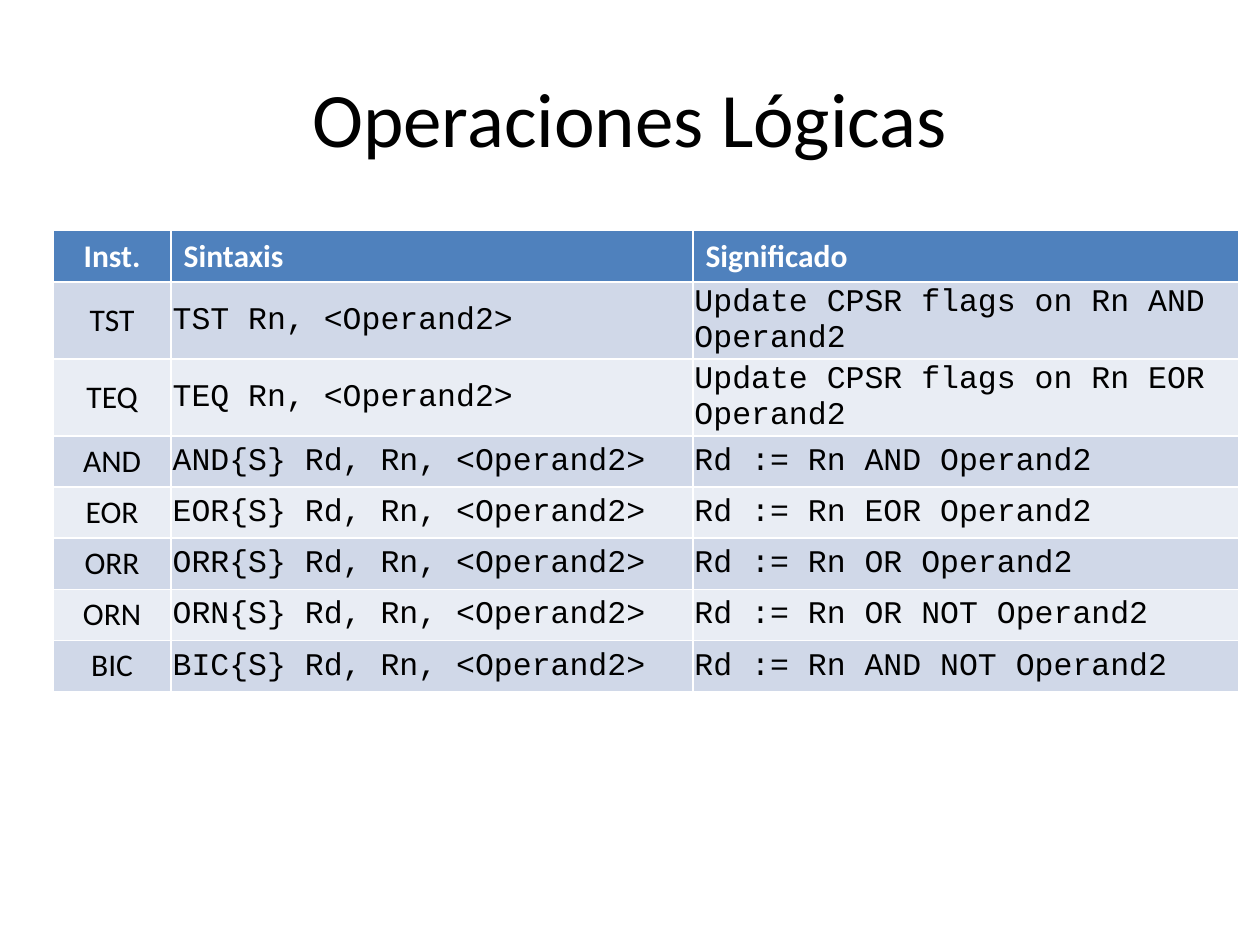
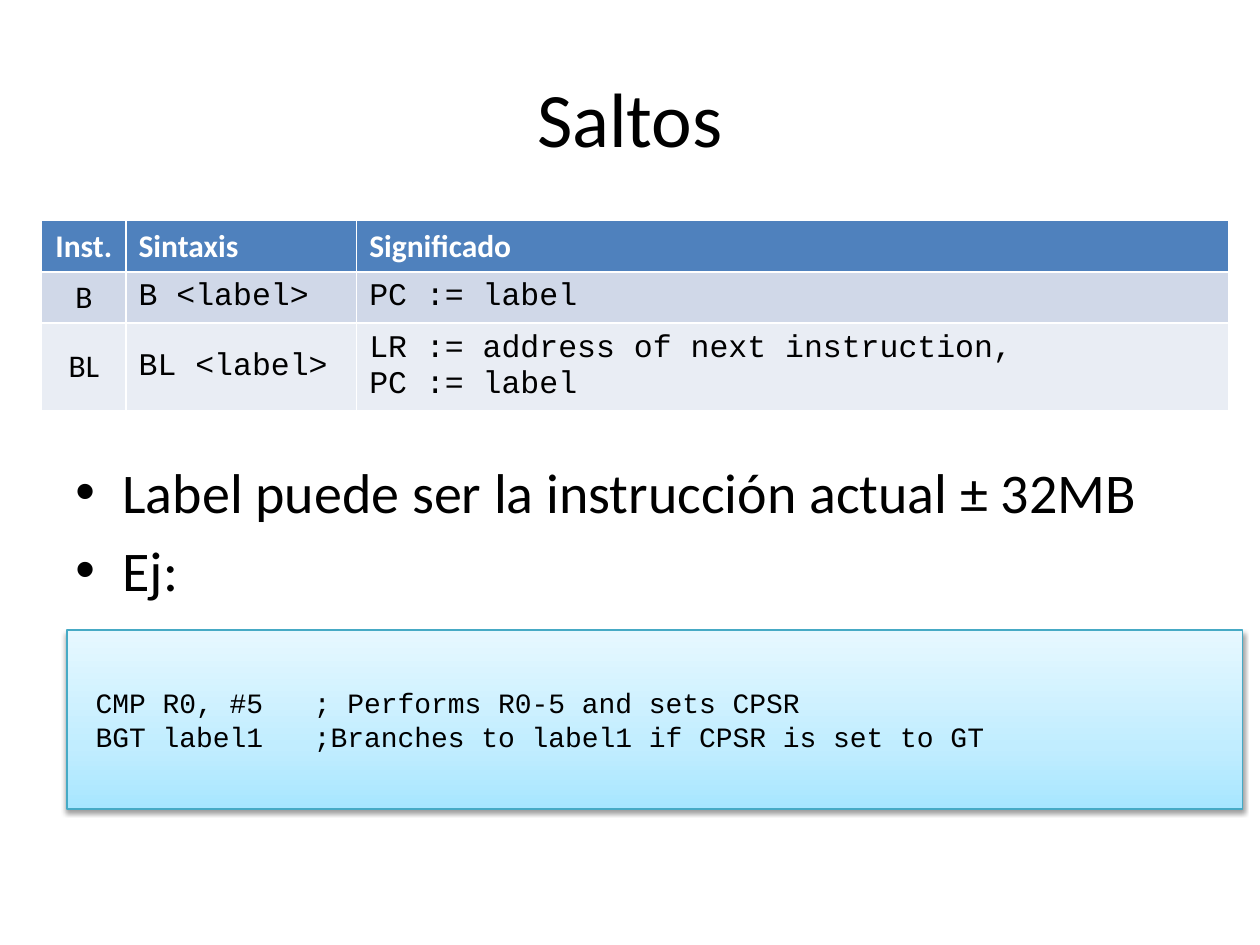
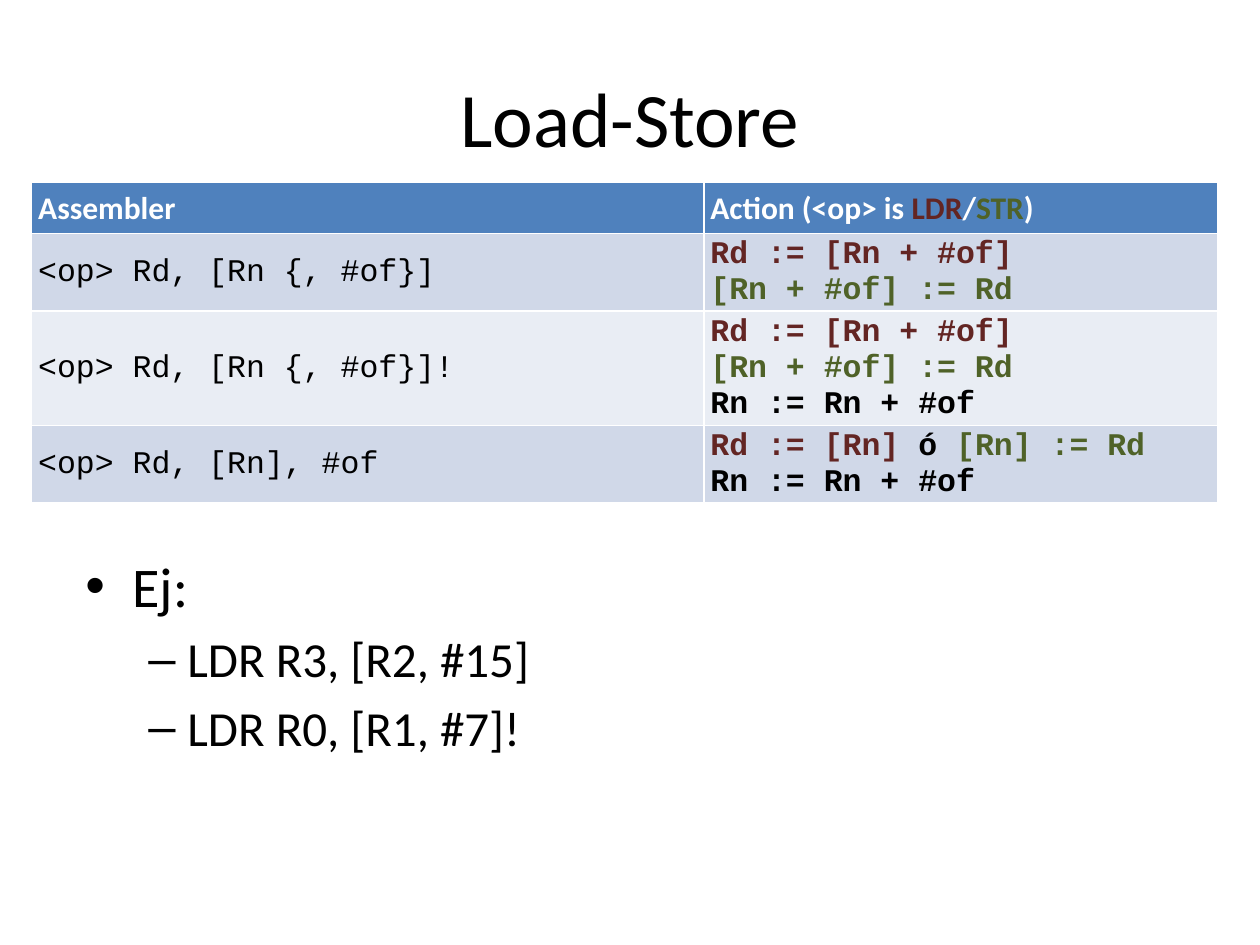
from dataclasses import dataclass
from lxml.etree import SubElement
from pptx import Presentation
from pptx.dml.color import RGBColor
from pptx.enum.shapes import MSO_SHAPE
from pptx.enum.text import MSO_ANCHOR, PP_ALIGN
from pptx.oxml.ns import qn
from pptx.util import Cm, Pt


@dataclass(frozen=True)
class Theme:
    ink: str = "000000"
    white: str = "FFFFFF"
    head: str = "4F81BD"
    odd: str = "D0D8E8"
    even: str = "E9EDF4"
    load: str = "632523"
    store: str = "4F6228"
    edge: str = "46AAC5"
    glow: tuple = ((0, "A7E6FF"), (35, "C1EDFF"), (100, "E7F8FF"))
    sans: str = "Calibri"
    mono: str = "Courier New"
    title: int = 44
    list: tuple = (32, 28)
    cell: int = 18
    code: int = 16


T = Theme()


def write(frame, lines, form, color=T.ink, align=PP_ALIGN.LEFT):
    frame.word_wrap = True
    for num, line in enumerate(lines):
        par = frame.paragraphs[0] if num == 0 else frame.add_paragraph()
        par.alignment = align
        for text, tint in [(line, color)] if isinstance(line, str) else line:
            run = par.add_run()
            run.text = text
            run.font.color.rgb = RGBColor.from_string(tint)
            for key, val in form.items():
                setattr(run.font, key, val)


def node(root, tag, **attrs):
    return SubElement(root, qn(tag), {key: str(val) for key, val in attrs.items()})


LOGIC = [["Inst.", "Sintaxis", "Significado"]]
for name in ("TST", "TEQ"):
    word = {"TST": "AND", "TEQ": "EOR"}[name]
    LOGIC.append([name, f"{name} Rn, <Operand2>", f"Update CPSR flags on Rn {word} Operand2"])
for name, word in {"AND": "AND", "EOR": "EOR", "ORR": "OR", "ORN": "OR NOT", "BIC": "AND NOT"}.items():
    LOGIC.append([name, f"{name}{{S}} Rd, Rn, <Operand2>", f"Rd := Rn {word} Operand2"])

JUMPS = [
    ["Inst.", "Sintaxis", "Significado"],
    ["B", "B <label>", "PC := label"],
    ["BL", "BL <label>", ["LR := address of next instruction,", "PC := label"]],
]

PAIR = [[("Rd := [Rn + #of]", T.load)], [("[Rn + #of] := Rd", T.store)]]
STEP = "Rn := Rn + #of"
MOVES = [
    ["Assembler", [[("Action (<op> is ", T.white), ("LDR", T.load), ("/", T.white),
                    ("STR", T.store), (")", T.white)]]],
    ["<op> Rd, [Rn {, #of}]", PAIR],
    ["<op> Rd, [Rn {, #of}]!", PAIR + [STEP]],
    ["<op> Rd, [Rn], #of", [[("Rd := [Rn] ", T.load), ("ó ", T.ink), ("[Rn] := Rd", T.store)], STEP]],
]

DECK = [
    dict(title="Operaciones Lógicas", rows=LOGIC, at=(1.07, 4.65), cols=(2.38, 10.52, 11.01), pad=0.03),
    dict(title="Saltos", rows=JUMPS, at=(0.84, 4.45), cols=(1.7, 4.65, 17.57), pad=None,
         spot=(1.27, 9.09, 22.86, 6.22),
         items=[(0, "Label puede ser la instrucción actual ± 32MB"), (0, "Ej:")]),
    dict(title="Load-Store", rows=MOVES, at=(0.64, 3.68), cols=(13.55, 10.36), pad=0.13,
         spot=(1.47, 11, 22.86, 7.19),
         items=[(0, "Ej:"), (1, "LDR R3, [R2, #15]"), (1, "LDR R0, [R1, #7]!")]),
]
BULLETS = (("•", 0.95, 0.95), ("–", 2.06, 0.79))
HIGH = 1.03

show = Presentation()
show.slide_width, show.slide_height = Cm(25.4), Cm(19.05)

for part in DECK:
    slide = show.slides.add_slide(show.slide_layouts[6])
    frame = slide.shapes.add_textbox(Cm(1.27), Cm(0.76), Cm(22.86), Cm(3.18)).text_frame
    frame.vertical_anchor = MSO_ANCHOR.MIDDLE
    write(frame, [part["title"]], dict(name=T.sans, size=Pt(T.title)), align=PP_ALIGN.CENTER)

    if "items" in part:
        frame = slide.shapes.add_textbox(*map(Cm, part["spot"])).text_frame
        write(frame, [text for _, text in part["items"]], dict(name=T.sans))
        for par, (level, _) in zip(frame.paragraphs, part["items"]):
            mark, left, hang = BULLETS[level]
            size = T.list[level]
            par.level = level
            par.space_before = Pt(size / 5)
            par.runs[0].font.size = Pt(size)
            props = par._p.get_or_add_pPr()
            props.set("marL", str(Cm(left)))
            props.set("indent", str(-Cm(hang)))
            node(props, "a:buFont", typeface="Arial")
            node(props, "a:buChar", char=mark)

    rows, cols, pad = part["rows"], part["cols"], part["pad"]
    grid = slide.shapes.add_table(len(rows), len(cols), *map(Cm, part["at"]),
                                  Cm(sum(cols)), Cm(HIGH * len(rows))).table
    for col, wide in zip(grid.columns, cols):
        col.width = Cm(wide)
    inst = rows[0][0] == "Inst."
    for r, row in enumerate(rows):
        grid.rows[r].height = Cm(HIGH)
        for c, text in enumerate(row):
            cell = grid.cell(r, c)
            label = inst and c == 0
            cell.vertical_anchor = MSO_ANCHOR.MIDDLE
            cell.fill.solid()
            cell.fill.fore_color.rgb = RGBColor.from_string(T.head if r == 0 else (T.even, T.odd)[r % 2])
            if pad is not None and (not inst or r and c):
                edges = dict(margin_left=pad, margin_right=0.03, margin_top=0.03, margin_bottom=0)
                for key, val in edges.items():
                    setattr(cell, key, Cm(val))
            form = dict(name=T.sans if r == 0 or label else T.mono, size=Pt(T.cell),
                        bold=r == 0 or not inst and c == 1)
            write(cell.text_frame, [text] if isinstance(text, str) else text, form,
                  T.ink if r else T.white, PP_ALIGN.CENTER if label else PP_ALIGN.LEFT)

code = show.slides[1].shapes.add_shape(MSO_SHAPE.RECTANGLE, Cm(1.35), Cm(12.7), Cm(23.7), Cm(3.61))
code.line.color.rgb = RGBColor.from_string(T.edge)
code.line.width = Pt(0.75)
code.fill.gradient()
code.fill.gradient_angle = 90
stops = next(code._element.iter(qn("a:gsLst")))
stops.clear()
for pos, tint in T.glow:
    node(node(stops, "a:gs", pos=pos * 1000), "a:srgbClr", val=tint)

code.shadow.inherit = False
glow = node(code._element.spPr.find(qn("a:effectLst")), "a:outerShdw", blurRad=Pt(3.1), dist=Pt(1.6),
            dir=90 * 60000, rotWithShape=0)
node(node(glow, "a:srgbClr", val=T.ink), "a:alpha", val=38000)

frame = code.text_frame
frame.vertical_anchor = MSO_ANCHOR.MIDDLE
frame.margin_left = Cm(0.58)
write(frame, ["CMP R0, #5\t; Performs R0-5 and sets CPSR",
              "BGT label1\t;Branches to label1 if CPSR is set to GT"], dict(name=T.mono, size=Pt(T.code)))
for par in frame.paragraphs:
    tabs = node(par._p.get_or_add_pPr(), "a:tabLst")
    node(tabs, "a:tab", pos=Cm(4.4), algn="l")

show.save("out.pptx")
